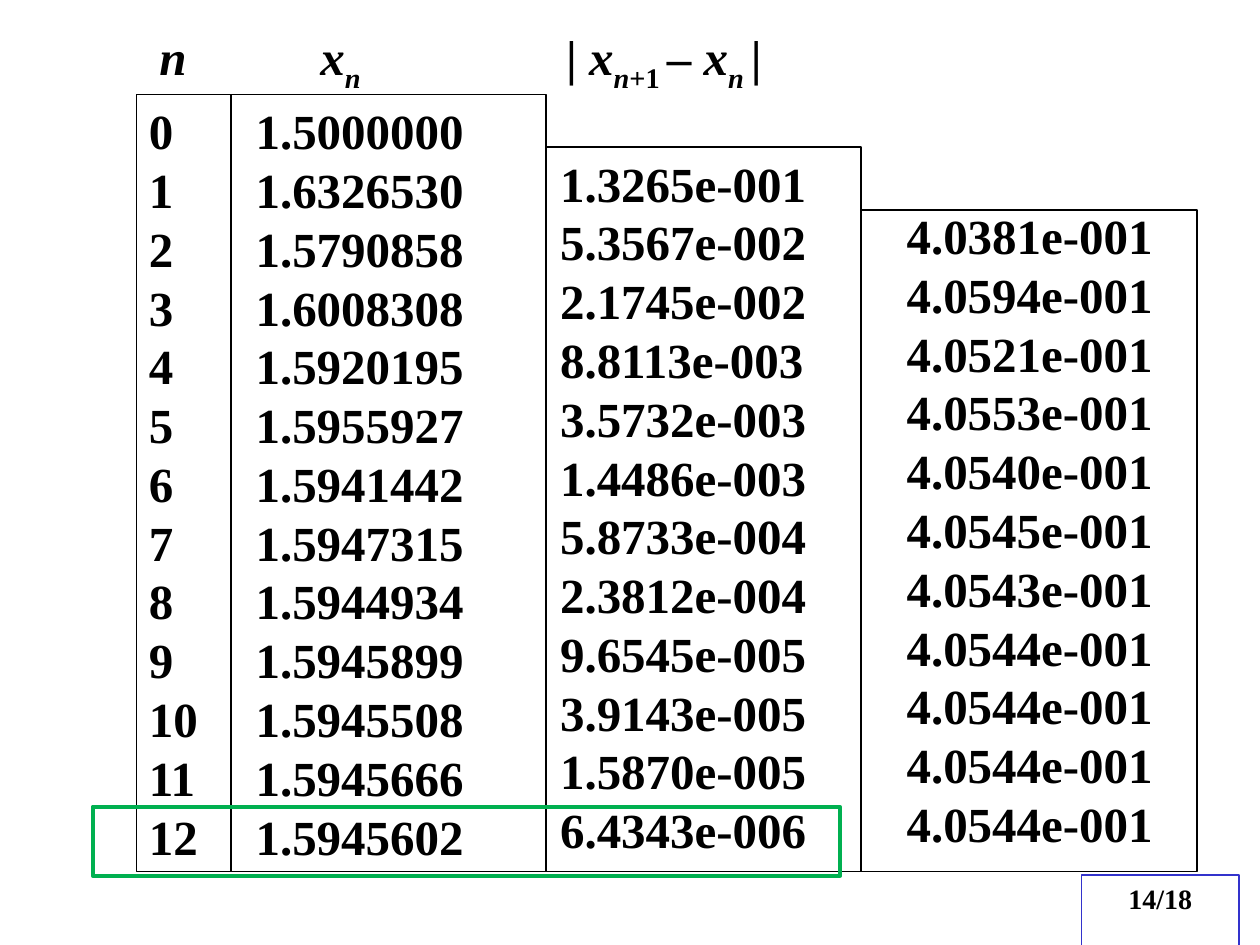
from dataclasses import dataclass

from lxml.etree import SubElement
from pptx import Presentation
from pptx.dml.color import RGBColor as Rgb
from pptx.enum.shapes import MSO_SHAPE as Shape
from pptx.enum.text import MSO_ANCHOR as Anchor, PP_ALIGN as Align
from pptx.oxml.ns import qn
from pptx.util import Pt


@dataclass(frozen=True)
class Theme:
    font: str = "Times New Roman"
    ink: Rgb = Rgb(0x00, 0x00, 0x00)
    page_border: Rgb = Rgb(0x33, 0x33, 0xCC)
    highlight: Rgb = Rgb(0x00, 0xB0, 0x50)
    body_size: float = 28
    page_size: float = 16
    row_height: float = 33.6
    thin: float = 0.75
    thick: float = 2.25
    indent: int = 7


class SlideBuilder:
    def __init__(self, slide, theme):
        self.slide = slide
        self.theme = theme

    def frame(self, area, color=None, width=None):
        box = self.slide.shapes.add_shape(Shape.RECTANGLE, *map(Pt, area))
        box.shadow.inherit = False
        box.fill.background()
        box.line.color.rgb = color or self.theme.ink
        box.line.width = Pt(width or self.theme.thin)
        return box

    def text_area(self, area):
        return self.slide.shapes.add_textbox(*map(Pt, area))

    def run(self, paragraph, text, size=None, italic=False, sub=False):
        run = paragraph.add_run()
        run.text = text
        font = run.font
        font.name = self.theme.font
        font.size = Pt(size or self.theme.body_size)
        font.bold = True
        font.italic = italic
        font.color.rgb = self.theme.ink
        if sub:
            run._r.get_or_add_rPr().set("baseline", "-25000")

    def column(self, box, values, indent=0):
        body = box.text_frame
        body.word_wrap = True
        body.vertical_anchor = Anchor.TOP
        for row, value in enumerate(values):
            line = body.add_paragraph() if row else body.paragraphs[0]
            line.alignment = Align.JUSTIFY
            line.line_spacing = Pt(self.theme.row_height)
            line._p.get_or_add_pPr().set("marL", str(Pt(indent)))
            self.run(line, value)

    def heading(self, area, parts, stops):
        body = self.text_area(area).text_frame
        body.word_wrap = True
        line = body.paragraphs[0]
        line.alignment = Align.LEFT
        line.line_spacing = Pt(38)
        tabs = SubElement(line._p.get_or_add_pPr(), qn("a:tabLst"))
        for stop in stops:
            SubElement(tabs, qn("a:tab"), pos=str(Pt(stop)), algn="l")
        for text, italic, sub in parts:
            self.run(line, text, italic=italic, sub=sub)

    def page_number(self, area, text):
        box = self.frame(area, self.theme.page_border)
        body = box.text_frame
        body.vertical_anchor = Anchor.TOP
        line = body.paragraphs[0]
        line.alignment = Align.CENTER
        line.line_spacing = Pt(self.theme.page_size * 1.2)
        self.run(line, text, self.theme.page_size)


ITERATES = """1.5000000 1.6326530 1.5790858 1.6008308 1.5920195 1.5955927 1.5941442
1.5947315 1.5944934 1.5945899 1.5945508 1.5945666 1.5945602""".split()
DIFFERENCES = """1.3265e-001 5.3567e-002 2.1745e-002 8.8113e-003 3.5732e-003 1.4486e-003
5.8733e-004 2.3812e-004 9.6545e-005 3.9143e-005 1.5870e-005 6.4343e-006""".split()
RATIOS = """4.0381e-001 4.0594e-001 4.0521e-001 4.0553e-001 4.0540e-001 4.0545e-001
4.0543e-001 4.0544e-001 4.0544e-001 4.0544e-001 4.0544e-001""".split()
HEADING = [
    ("n\tx", True, False), ("n", True, True),
    ("\t| ", False, False), ("x", True, False), ("n", True, True),
    ("+1 ", False, True), ("– ", False, False), ("x", True, False),
    ("n ", True, True), ("|", False, False),
]


def main():
    deck = Presentation()
    deck.slide_width, deck.slide_height = Pt(720), Pt(540)
    theme = Theme()
    page = SlideBuilder(deck.slides.add_slide(deck.slide_layouts[6]), theme)

    page.page_number((618, 500, 90, 46), "14/18")
    page.heading((84, 12, 396, 45), HEADING, (92, 232.5))
    page.column(page.frame((132, 54, 180, 444)), ITERATES, theme.indent)
    page.column(page.text_area((306, 84, 180, 411)), DIFFERENCES, theme.indent)
    page.column(page.text_area((504, 114, 186, 377)), RATIOS, theme.indent)
    page.column(page.frame((78, 54, 54, 444)), map(str, range(len(ITERATES))))
    page.frame((312, 84, 180, 414))
    page.frame((492, 120, 192, 378))
    page.frame((53, 461, 427, 39.5), theme.highlight, theme.thick)

    deck.save("out.pptx")


if __name__ == "__main__":
    main()
